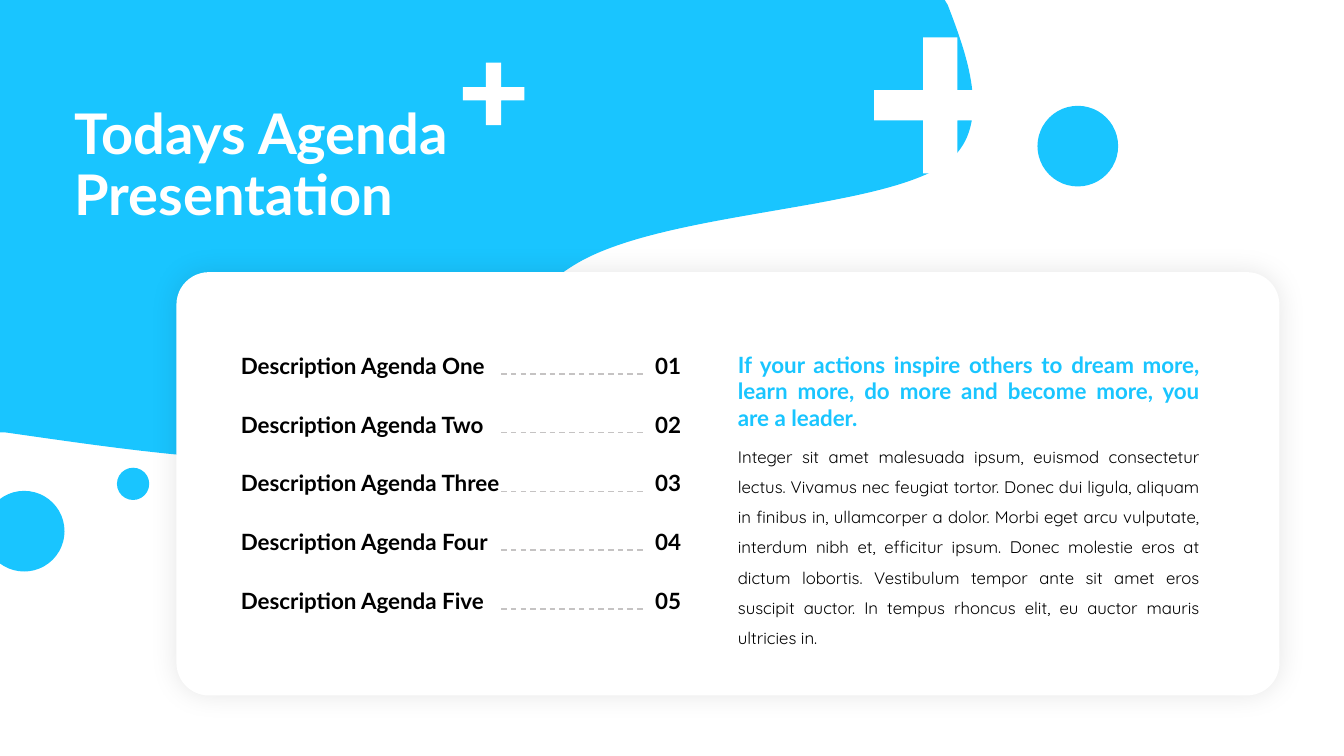
from lxml.etree import SubElement
from pptx import Presentation
from pptx.dml.color import RGBColor
from pptx.enum.dml import MSO_LINE
from pptx.enum.shapes import MSO_CONNECTOR, MSO_SHAPE
from pptx.enum.text import MSO_ANCHOR, MSO_AUTO_SIZE, PP_ALIGN
from pptx.oxml.ns import qn
from pptx.util import Inches, Pt

SKY = RGBColor(0x19, 0xC5, 0xFF)
WHITE = RGBColor(0xFF, 0xFF, 0xFF)
BLACK = RGBColor(0, 0, 0)
LEADER_GREY = RGBColor(0xC5, 0xC3, 0xC3)

TITLE = {"name": "Lato", "size": Pt(40), "bold": True}
LABEL = {"name": "Lato", "size": Pt(16), "bold": True}
BODY = {"name": "Quicksand", "size": Pt(12), "bold": False}
JUSTIFIED = {"alignment": PP_ALIGN.JUSTIFY}
CENTRED = {"vertical_anchor": MSO_ANCHOR.MIDDLE}
GROWING = {"auto_size": MSO_AUTO_SIZE.SHAPE_TO_FIT_TEXT}

AGENDA = ["One", "Two", "Three", "Four", "Five"]
QUOTE = ("If your actions inspire others to dream more, learn more, "
         "do more and become more, you are a leader.")
DETAIL = ("Integer sit amet malesuada ipsum, euismod consectetur lectus. "
          "Vivamus nec feugiat tortor. Donec dui ligula, aliquam in finibus in, "
          "ullamcorper a dolor. Morbi eget arcu vulputate, interdum nibh et, "
          "efficitur ipsum. Donec molestie eros at dictum lobortis. Vestibulum "
          "tempor ante sit amet eros suscipit auctor. In tempus rhoncus elit, "
          "eu auctor mauris ultricies in.")

BLOB_STEPS = [
    ("moveTo", [(2.74, 4.57)]),
    ("cubicBezTo", [(1.83, 4.56), (0.7, 4.38), (0.05, 4.29)]),
    ("lnTo", [(0, 4.29)]),
    ("lnTo", [(0, 0)]),
    ("lnTo", [(9.37, 0)]),
    ("lnTo", [(9.4, 0.05)]),
    ("cubicBezTo", [(9.58, 0.52), (9.85, 1.23), (9.42, 1.59)]),
    ("cubicBezTo", [(8.85, 2.07), (6.78, 2.08), (5.82, 2.56)]),
    ("cubicBezTo", [(4.87, 3.04), (4.7, 4.2), (3.69, 4.48)]),
    ("cubicBezTo", [(3.43, 4.55), (3.1, 4.57), (2.74, 4.57)]),
    ("close", []),
]


def apply_format(target, values):
    """Set every attribute named in values on target."""
    for attribute, value in values.items():
        setattr(target, attribute, value)


def paint(shape, color):
    """Give a shape a flat fill without line or shadow."""
    shape.fill.solid()
    shape.fill.fore_color.rgb = color
    shape.line.fill.background()
    shape.shadow.inherit = False


def add_text(slide, box, text, font, color, paragraph_format=None, frame_format=None):
    """Write one wrapped paragraph in the given box."""
    frame = slide.shapes.add_textbox(*map(Inches, box)).text_frame
    frame.word_wrap = True
    apply_format(frame, frame_format or {})
    paragraph = frame.paragraphs[0]
    apply_format(paragraph, paragraph_format or {})
    run = paragraph.add_run()
    run.text = text
    apply_format(run.font, font)
    run.font.color.rgb = color


def add_outline(slide, points, color):
    """Draw a closed filled outline through points in inches."""
    start, *others = [(Inches(x), Inches(y)) for x, y in points]
    builder = slide.shapes.build_freeform(*start)
    builder.add_line_segments(others, close=True)
    outline = builder.convert_to_shape()
    paint(outline, color)
    return outline


def add_blob(slide, left, top, width, height):
    """Draw the wavy backdrop, with curves, in its box."""
    right, bottom = left + width, top + height
    corners = [(left, top), (right, top), (right, bottom), (left, bottom)]
    blob = add_outline(slide, corners, SKY)
    route = next(blob._element.iter(qn("a:path")))
    for step in list(route):
        route.remove(step)
    for kind, points in BLOB_STEPS:
        step = SubElement(route, qn(f"a:{kind}"))
        for x, y in points:
            SubElement(step, qn("a:pt"), x=str(Inches(x)), y=str(Inches(y)))


def add_plus(slide, left, top, width, height, upright, bar):
    """Draw a white plus sign with the given arm thicknesses."""
    x1, x2 = left + (width - upright) / 2, left + (width + upright) / 2
    y1, y2 = top + (height - bar) / 2, top + (height + bar) / 2
    right, bottom = left + width, top + height
    add_outline(slide, [(x1, top), (x2, top), (x2, y1), (right, y1), (right, y2), (x2, y2),
                        (x2, bottom), (x1, bottom), (x1, y2), (left, y2), (left, y1),
                        (x1, y1)], WHITE)


def add_dot(slide, left, top, diameter):
    """Draw a blue dot."""
    box = map(Inches, (left, top, diameter, diameter))
    paint(slide.shapes.add_shape(MSO_SHAPE.OVAL, *box), SKY)


def add_card(slide, left, top, width, height):
    """Draw the rounded white card with its soft shadow."""
    box = map(Inches, (left, top, width, height))
    card = slide.shapes.add_shape(MSO_SHAPE.ROUNDED_RECTANGLE, *box)
    card.adjustments[0] = 0.077
    paint(card, WHITE)
    effects = card._element.spPr.find(qn("a:effectLst"))
    glow = SubElement(effects, qn("a:outerShdw"), blurRad=str(Pt(20)), dist="0",
                      algn="ctr", rotWithShape="0")
    tint = SubElement(glow, qn("a:srgbClr"), val=str(BLACK))
    SubElement(tint, qn("a:alpha"), val="10000")


def add_leader(slide, left, y, width):
    """Draw the dashed line between an entry and its number."""
    leader = slide.shapes.add_connector(MSO_CONNECTOR.STRAIGHT, Inches(left), Inches(y),
                                        Inches(left + width), Inches(y))
    leader.line.color.rgb = LEADER_GREY
    apply_format(leader.line, {"width": Pt(1), "dash_style": MSO_LINE.DASH})
    SubElement(leader._element.spPr, qn("a:effectLst"))


def add_agenda(slide, left, first_top, last_top):
    """List the numbered agenda entries at equal distances."""
    frame_format = CENTRED | GROWING
    pitch = (last_top - first_top) / (len(AGENDA) - 1)
    for index, entry in enumerate(AGENDA):
        y = first_top + index * pitch
        add_text(slide, (left, y, 2.85, 0.37), f"Description Agenda {entry}", LABEL, BLACK,
                 frame_format=frame_format)
        add_text(slide, (left + 4.11, y, 0.5, 0.37), f"{index + 1:02}", LABEL, BLACK,
                 frame_format=frame_format)
        add_leader(slide, left + 2.68, y + 0.27, 1.41)


def add_message(slide, left, top, width):
    """Place the quote below its explanatory paragraph in the stacking order."""
    add_text(slide, (left, top + 0.85, width, 1.88), DETAIL, BODY, BLACK,
             JUSTIFIED | {"line_spacing": 1.5}, GROWING)
    add_text(slide, (left, top, width, 0.91), QUOTE, LABEL, SKY, JUSTIFIED, GROWING)


def add_agenda_slide(deck):
    """Build the agenda slide."""
    slide = deck.slides.add_slide(deck.slide_layouts[6])
    add_blob(slide, 0, 0, 9.65, 4.57)
    add_plus(slide, 8.67, 0.37, 1.31, 1.35, 0.34, 0.3)
    add_plus(slide, 4.59, 0.62, 0.61, 0.62, 0.15, 0.13)
    add_card(slide, 1.75, 2.7, 10.94, 4.2)
    add_agenda(slide, 2.29, 3.44, 5.77)
    add_message(slide, 7.22, 3.43, 4.78)
    for dot in [(10.29, 1.05, 0.8), (1.16, 4.64, 0.32), (-0.16, 4.87, 0.8)]:
        add_dot(slide, *dot)
    add_text(slide, (0.64, 0.93, 5.08, 1.45), "Todays Agenda Presentation", TITLE, WHITE,
             {"line_spacing": 0.9}, CENTRED)


def main():
    """Create and save the deck."""
    deck = Presentation()
    apply_format(deck, {"slide_width": Inches(13.33), "slide_height": Inches(7.5)})
    add_agenda_slide(deck)
    deck.save("out.pptx")


if __name__ == "__main__":
    main()
